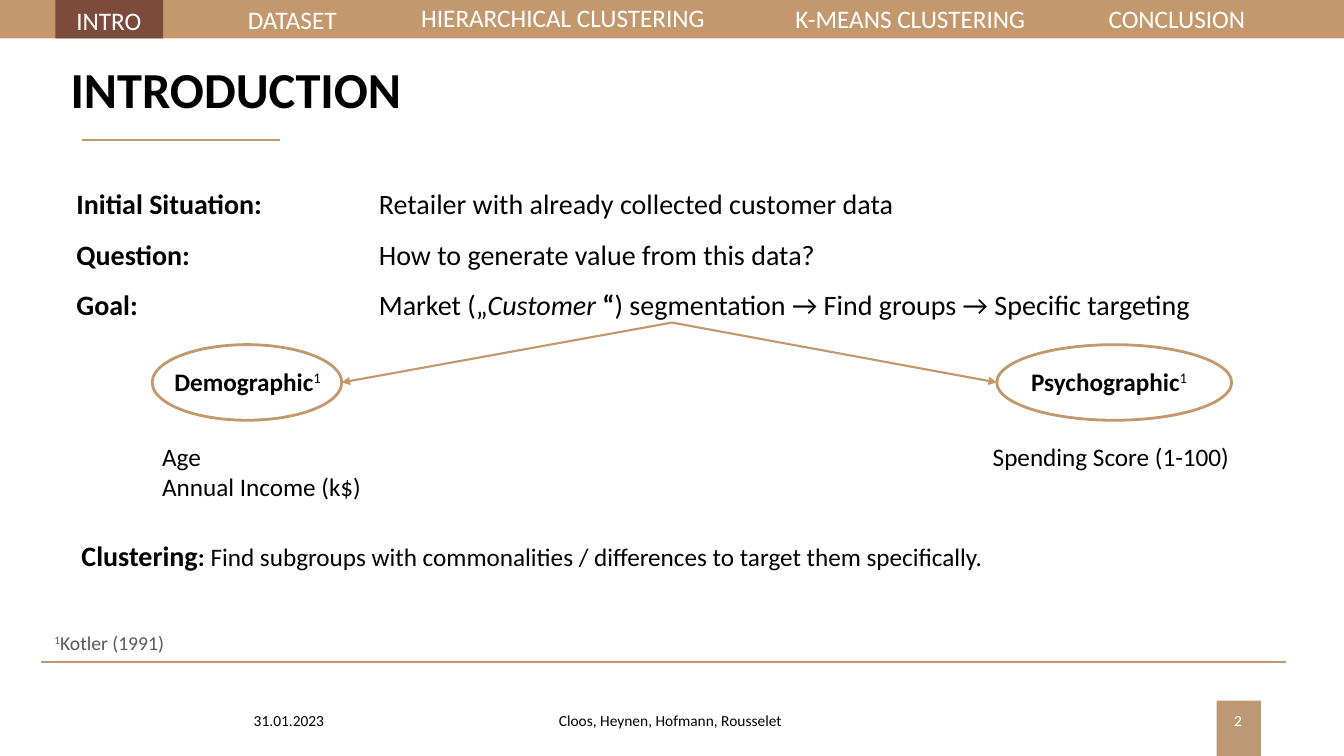
from lxml import etree
from pptx import Presentation
from pptx import util as u
from pptx.dml.color import RGBColor
from pptx.enum import shapes, text
from pptx.oxml.ns import qn

TAN = RGBColor(0xC3, 0x98, 0x6D)
PAGE_TAN = RGBColor(0xBD, 0x99, 0x73)
BROWN = RGBColor(0x7C, 0x4B, 0x3B)
BLACK = RGBColor(0, 0, 0)
GREY = RGBColor(0x59, 0x59, 0x59)
WHITE = RGBColor(0xFF, 0xFF, 0xFF)

RECT = shapes.MSO_SHAPE.RECTANGLE
OVAL = shapes.MSO_SHAPE.OVAL
LEFT, CENTER, RIGHT = text.PP_ALIGN.LEFT, text.PP_ALIGN.CENTER, text.PP_ALIGN.RIGHT
MIDDLE = text.MSO_ANCHOR.MIDDLE


class Deck:
    """Holds the style and the slide being built; lengths are in points."""

    font = "Calibri"

    def __init__(self, width, height):
        self.prs = Presentation()
        self.prs.slide_width, self.prs.slide_height = u.Pt(width), u.Pt(height)
        self.s = self.prs.slides.add_slide(self.prs.slide_layouts[5])

    def run(self, p, words, size, color, bold=False, italic=False, raised=False):
        r = p.add_run()
        r.text = words
        f = r.font
        f.name, f.size, f.bold, f.italic = self.font, u.Pt(size), bold, italic
        f.color.rgb = color
        if raised:
            r._r.get_or_add_rPr().set("baseline", "30000")

    def title(self, words, x, y, w, h):
        sp = self.s.shapes.title
        sp.left, sp.top, sp.width, sp.height = map(u.Pt, (x, y, w, h))
        tf = sp.text_frame
        tf.vertical_anchor = MIDDLE
        p = tf.paragraphs[0]
        p.alignment, p.line_spacing = LEFT, 0.9
        self.run(p, words, 36, BLACK, bold=True)

    def text(self, x, y, w, h, paragraphs, size=18, color=BLACK, align=LEFT,
             anchor=text.MSO_ANCHOR.TOP, spacing=None, tab=None):
        """Each paragraph is a list of (words, run options)."""
        tf = self.s.shapes.add_textbox(*map(u.Pt, (x, y, w, h))).text_frame
        tf.word_wrap = True
        tf.vertical_anchor = anchor
        for i, runs in enumerate(paragraphs):
            p = tf.add_paragraph() if i else tf.paragraphs[0]
            p.alignment = align
            if spacing:
                p.line_spacing = spacing
            if tab:
                tabs = etree.SubElement(p._p.get_or_add_pPr(), qn("a:tabLst"))
                etree.SubElement(tabs, qn("a:tab"), pos=str(u.Pt(tab)), algn="l")
            for words, options in runs:
                self.run(p, words, **{"size": size, "color": color, **options})

    def shape(self, kind, x, y, w, h, fill=None, line=None):
        sp = self.s.shapes.add_shape(kind, *map(u.Pt, (x, y, w, h)))
        sp.shadow.inherit = False
        if fill is None:
            sp.fill.background()
        else:
            sp.fill.solid()
            sp.fill.fore_color.rgb = fill
        if line is None:
            sp.line.fill.background()
        else:
            sp.line.color.rgb, sp.line.width = line, u.Pt(2)

    def line(self, x1, y1, x2, y2, arrow=False):
        c = self.s.shapes.add_connector(
            shapes.MSO_CONNECTOR.STRAIGHT, *map(u.Pt, (x1, y1, x2, y2)))
        c.line.color.rgb, c.line.width = TAN, u.Pt(1.5)
        if arrow:
            etree.SubElement(c.line._get_or_add_ln(), qn("a:tailEnd"), type="triangle")
        etree.SubElement(c._element.spPr, qn("a:effectLst"))


BOLD, PLAIN, ITALIC, RAISED = {"bold": True}, {}, {"italic": True}, {"raised": True}


def main():
    d = Deck(960, 540)

    d.shape(RECT, 869, 500.4, 31.7, 39.6, fill=PAGE_TAN)
    d.line(29.5, 473, 918.7, 473)
    d.line(58.3, 100, 200.2, 100)

    d.shape(RECT, 0, 0, 960, 27.4, fill=TAN)
    d.shape(RECT, 39.6, 0, 77, 27.4, fill=BROWN)
    for name, x, y, w in [("INTRO", 47.5, 0, 64),
                          ("DATASET", 170, -0.7, 105),
                          ("HIERARCHICAL CLUSTERING", 293.8, -2, 232),
                          ("K-MEANS CLUSTERING", 561, -1, 179),
                          ("CONCLUSION", 784.8, -1.2, 117.4)]:
        d.text(x, y, w, 29, [[(name, PLAIN)]], color=WHITE)

    d.title("INTRODUCTION", 43.2, 44.6, 873.4, 42.5)
    d.text(47.5, 118, 865.4, 112.3, [
        [("Initial Situation:", BOLD),
         ("\tRetailer with already collected customer data", PLAIN)],
        [("Question:", BOLD),
         ("\tHow to generate value from this data?", PLAIN)],
        [("Goal:", BOLD), ("\tMarket („", PLAIN), ("Customer ", ITALIC), ("“", BOLD),
         (") segmentation → Find groups → Specific targeting", PLAIN)],
    ], size=20, spacing=1.5, tab=216)

    for label, x, w, label_x, label_w, tip_x in [
            ("Demographic", 108.7, 135.4, 117.4, 126, 244.1),
            ("Psychographic", 712, 167.8, 729.4, 134, 712)]:
        d.shape(OVAL, x, 246.2, w, 54, line=TAN)
        d.text(label_x, 257.8, label_w, 29, [[(label, BOLD), ("1", RAISED)]])
        d.line(480, 230.4, tip_x, 273.2, arrow=True)

    d.text(108.7, 311.8, 162.7, 51,
           [[("Age", PLAIN)], [("Annual Income (k$)", PLAIN)]])
    d.text(702, 311.8, 200.9, 29, [[("Spending Score (1-100)", PLAIN)]])
    d.text(51.1, 380.9, 865.4, 31.7, [
        [("Clustering", {"bold": True, "size": 20}), (": ", BOLD),
         ("Find subgroups with commonalities / differences to target them specifically.",
          PLAIN)]])

    d.text(31.7, 447.1, 862.6, 24.5, [[("1", RAISED), ("Kotler (1991)", PLAIN)]],
           size=14, color=GREY)
    for words, x, w, align, color in [
            ("31.01.2023", 174.2, 216, LEFT, BLACK),
            ("Cloos, Heynen, Hofmann, Rousselet ", 318.2, 324, CENTER, BLACK),
            ("2", 678.2, 216, RIGHT, WHITE)]:
        d.text(x, 500.4, w, 28.8, [[(words, PLAIN)]], size=11, color=color,
               align=align, anchor=MIDDLE)

    d.prs.save("out.pptx")


if __name__ == "__main__":
    main()
